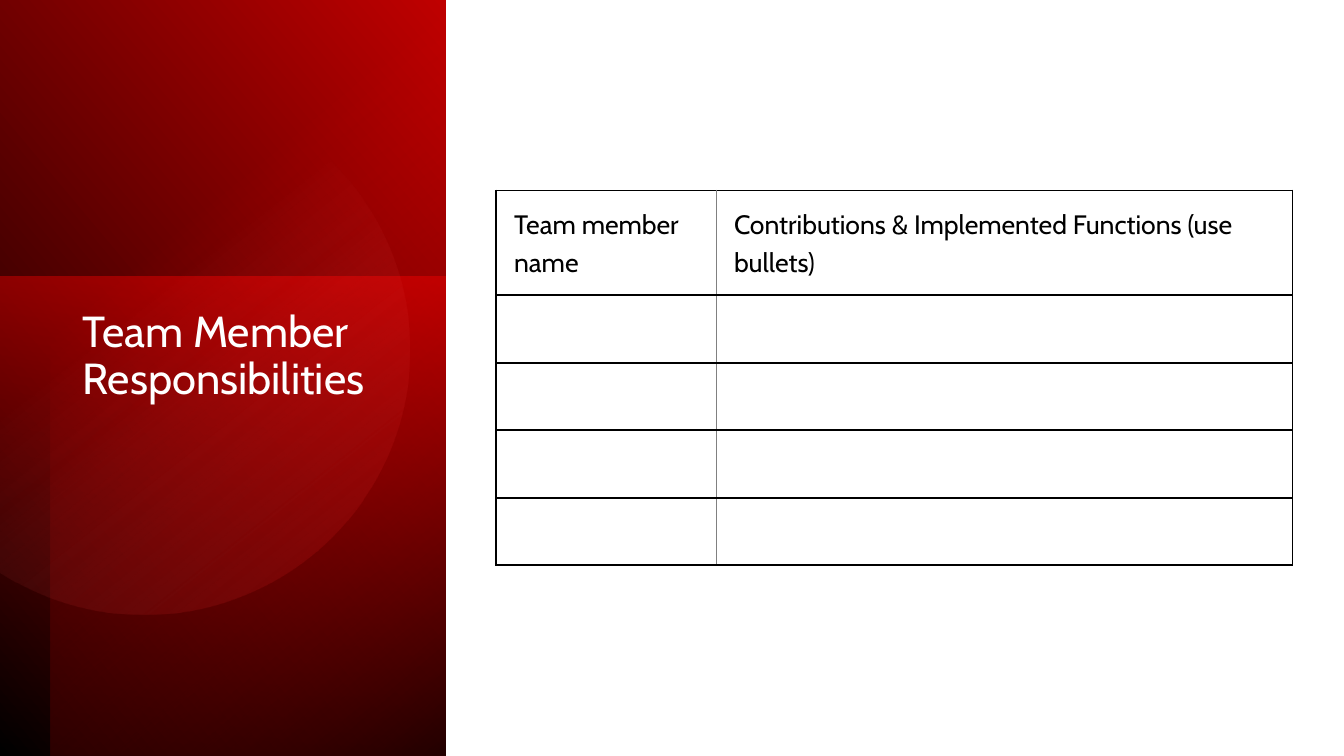
import math

import lxml.etree
import pptx
import pptx.dml.color
import pptx.enum.shapes
import pptx.enum.text
import pptx.oxml.ns
import pptx.util

Inches = pptx.util.Inches
qn = pptx.oxml.ns.qn

FONT = "Cabin"
HEADERS = ["Team member name", "Contributions & Implemented Functions (use bullets)"]
COLUMN_WIDTHS = [2.18, 5.72]
ROW_HEIGHTS = [1.04] + [0.67] * 4
OUTER_BORDER = ("000000", 1.5)
INNER_BORDER = ("808080", 0.5)


def color(value):
    return pptx.dml.color.RGBColor.from_string(value)


def write_text(text_frame, text, size, fill, line_spacing):
    text_frame.word_wrap = True
    paragraph = text_frame.paragraphs[0]
    paragraph.alignment = pptx.enum.text.PP_ALIGN.LEFT
    paragraph.line_spacing = line_spacing
    run = paragraph.add_run()
    run.text = text
    run.font.name = FONT
    run.font.size = pptx.util.Pt(size)
    run.font.color.rgb = color(fill)


def add_solid(parent, value, opacity=100):
    element = lxml.etree.SubElement(parent, qn("a:srgbClr"), val=str(color(value)))
    if opacity < 100:
        lxml.etree.SubElement(element, qn("a:alpha"), val=str(opacity * 1000))


def fill_gradient(shape, stops, angle):
    shape.shadow.inherit = False
    shape.line.fill.background()
    shape.fill.background()
    properties = shape._element.spPr
    gradient = lxml.etree.Element(qn("a:gradFill"), rotWithShape="1")
    stop_list = lxml.etree.SubElement(gradient, qn("a:gsLst"))
    for position, value, opacity in stops:
        stop = lxml.etree.SubElement(stop_list, qn("a:gs"), pos=str(position * 1000))
        add_solid(stop, value, opacity)
    lxml.etree.SubElement(gradient, qn("a:lin"), ang=str(round(angle * 60000)), scaled="0")
    properties.replace(properties.find(qn("a:noFill")), gradient)


def add_turned_panel(slide, box, rotation, flipped, stops, angle):
    left, top, width, height = box
    shape = slide.shapes.add_shape(
        pptx.enum.shapes.MSO_SHAPE.RECTANGLE,
        Inches(left + (width - height) / 2),
        Inches(top + (height - width) / 2),
        Inches(height),
        Inches(width),
    )
    shape.rotation = rotation
    if flipped:
        shape._element.spPr.find(qn("a:xfrm")).set("flipH", "1")
    fill_gradient(shape, stops, angle)


def add_cut_disc(slide, left, center_x, center_y, radius):
    limit = math.acos((left - center_x) / radius)
    steps = 120
    angles = [limit * (2 * step / steps - 1) for step in range(steps + 1)]
    points = [
        (Inches(center_x + radius * math.cos(angle)), Inches(center_y + radius * math.sin(angle)))
        for angle in angles
    ]
    builder = slide.shapes.build_freeform(*points[0])
    builder.add_line_segments(points[1:], close=True)
    disc = builder.convert_to_shape()
    fill_gradient(disc, [(39, "FF6666", 0), (100, "BF0000", 26)], 51.6)


def add_side_panel(slide, left, top, width, height):
    lower_height = 4.76
    inset = 0.5
    add_turned_panel(
        slide, (left, top, width, height), 90, True,
        [(0, "000000", 100), (100, "BF0000", 100)], 310,
    )
    add_turned_panel(
        slide, (left, top + height - lower_height, width, lower_height), 270, False,
        [(0, "FF0000", 50), (100, "800000", 0)], 190,
    )
    add_turned_panel(
        slide, (left + inset, top, width - inset, height), 270, True,
        [(0, "000000", 59), (69, "FF0000", 0)], 220,
    )
    add_cut_disc(slide, left, left + 1.43, top + 3.47, 2.63)


def place_title(slide, left, top, width, height):
    title = slide.shapes.title
    title.left, title.top = Inches(left), Inches(top)
    title.width, title.height = Inches(width), Inches(height)
    title.text_frame.auto_size = pptx.enum.text.MSO_AUTO_SIZE.NONE
    title.text_frame.vertical_anchor = pptx.enum.text.MSO_ANCHOR.TOP
    write_text(title.text_frame, "Team Member Responsibilities", size=31, fill="FFFFFF", line_spacing=0.9)
    slide.shapes._spTree.append(title._element)


def format_cell(cell, borders):
    properties = cell._tc.get_or_add_tcPr()
    for side, (value, width) in zip("LRTB", borders):
        line = lxml.etree.SubElement(properties, qn("a:ln" + side), w=str(pptx.util.Pt(width)))
        add_solid(lxml.etree.SubElement(line, qn("a:solidFill")), value)
    cell.fill.background()
    cell.margin_left, cell.margin_right = Inches(0.18), Inches(0.1)
    cell.margin_top = cell.margin_bottom = Inches(0.14)


def add_responsibility_table(slide, left, top):
    table = slide.shapes.add_table(
        len(ROW_HEIGHTS), len(COLUMN_WIDTHS), Inches(left), Inches(top),
        Inches(sum(COLUMN_WIDTHS)), Inches(sum(ROW_HEIGHTS)),
    ).table
    table.first_row = table.horz_banding = False
    for column, width in zip(table.columns, COLUMN_WIDTHS):
        column.width = Inches(width)
    for row, height in zip(table.rows, ROW_HEIGHTS):
        row.height = Inches(height)
        first, second = row.cells
        format_cell(first, [OUTER_BORDER, INNER_BORDER, OUTER_BORDER, OUTER_BORDER])
        format_cell(second, [INNER_BORDER, OUTER_BORDER, OUTER_BORDER, OUTER_BORDER])
    for cell, text in zip(table.rows[0].cells, HEADERS):
        write_text(cell.text_frame, text, size=19, fill="000000", line_spacing=1.15)


def main():
    presentation = pptx.Presentation()
    presentation.slide_width, presentation.slide_height = Inches(13.33), Inches(7.5)
    slide = presentation.slides.add_slide(presentation.slide_layouts.get_by_name("Title Only"))
    add_side_panel(slide, 0, 0, 4.42, 7.5)
    place_title(slide, 0.72, 3.03, 3.15, 3.36)
    add_responsibility_table(slide, 4.92, 1.89)
    presentation.save("out.pptx")


if __name__ == "__main__":
    main()
